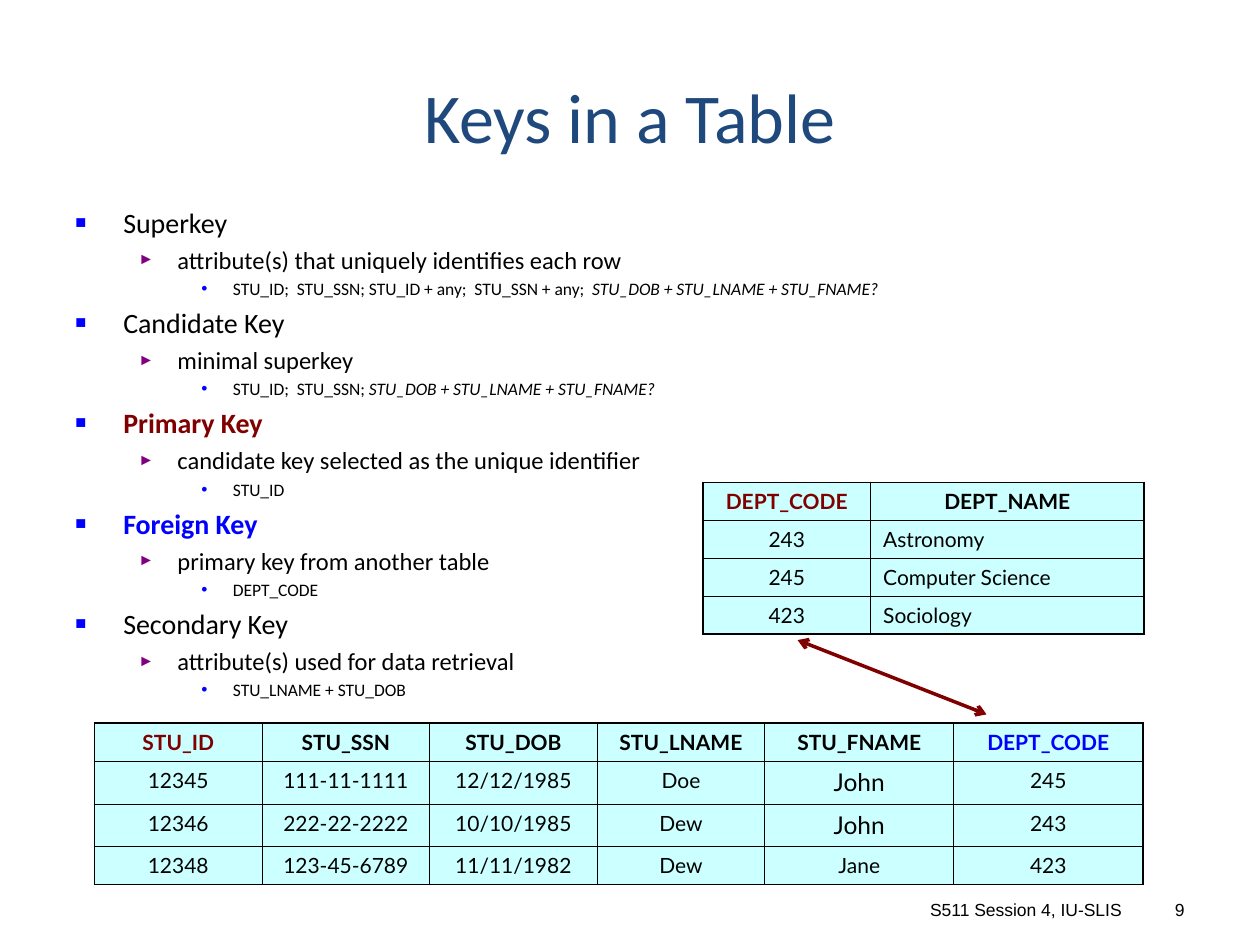
from lxml.etree import SubElement
from pptx import Presentation
from pptx.dml.color import RGBColor
from pptx.enum.shapes import MSO_CONNECTOR
from pptx.enum.text import MSO_ANCHOR, PP_ALIGN
from pptx.oxml.ns import qn
from pptx.util import Inches, Pt

BLACK, NAVY, BLUE, MAROON, PURPLE, CYAN = (
    "000000", "1F497D", "0000FF", "800000", "800080", "CCFFFF")
NAMES_AND_BIRTH = "STU_DOB + STU_LNAME + STU_FNAME?"
KEYS = [
    ("Superkey", BLACK, "attribute(s) that uniquely identifies each row",
     "STU_ID;  STU_SSN; STU_ID + any;  STU_SSN + any;  ", NAMES_AND_BIRTH),
    ("Candidate Key", BLACK, "minimal superkey", "STU_ID;  STU_SSN; ", NAMES_AND_BIRTH),
    ("Primary Key", MAROON, "candidate key selected as the unique identifier", "STU_ID", ""),
    ("Foreign Key", BLUE, "primary key from another table", "DEPT_CODE", ""),
    ("Secondary Key", BLACK, "attribute(s) used for data retrieval", "STU_LNAME + STU_DOB", ""),
]
LEVELS = [
    {"size": 16, "indent": 0.38, "hang": 0.38, "before": 3.7, "bullet": "■", "color": BLUE, "scale": 65},
    {"size": 14, "indent": 0.81, "hang": 0.31, "before": 3.3, "bullet": "►", "color": PURPLE, "scale": 65},
    {"size": 10, "indent": 1.25, "hang": 0.25, "before": 2.3, "bullet": "•", "color": BLUE, "scale": 100},
]
STUDENTS = {
    "place": (0.75, 5.74), "columns": [1.33, 1.33, 1.33, 1.33, 1.5, 1.5],
    "heights": [0.3, 0.34, 0.34, 0.3], "left_columns": [],
    "header_colors": {0: MAROON, 5: BLUE}, "large": "John",
    "rows": [
        ("STU_ID", "STU_SSN", "STU_DOB", "STU_LNAME", "STU_FNAME", "DEPT_CODE"),
        ("12345", "111-11-1111", "12/12/1985", "Doe", "John", "245"),
        ("12346", "222-22-2222", "10/10/1985", "Dew", "John", "243"),
        ("12348", "123-45-6789", "11/11/1982", "Dew", "Jane", "423"),
    ],
}
DEPARTMENTS = {
    "place": (5.58, 3.83), "columns": [1.33, 2.17],
    "heights": [0.3] * 4, "left_columns": [1],
    "header_colors": {0: MAROON}, "large": None,
    "rows": [
        ("DEPT_CODE", "DEPT_NAME"),
        ("243", "Astronomy"),
        ("245", "Computer Science"),
        ("423", "Sociology"),
    ],
}


def rgb(color):
    return RGBColor.from_string(color)


def add_span(para, text, size, font="Calibri", color=BLACK, bold=False, italic=False):
    span = para.add_run()
    span.text = text
    span.font.size = Pt(size)
    span.font.name = font
    span.font.color.rgb = rgb(color)
    span.font.bold = bold
    span.font.italic = italic


def add_box(page, left, top, width, height, anchor):
    box = page.shapes.add_textbox(Inches(left), Inches(top), Inches(width), Inches(height))
    box.text_frame.word_wrap = True
    box.text_frame.vertical_anchor = anchor
    return box.text_frame


def add_label(page, place, text, size, font, color, align, anchor):
    para = add_box(page, *place, anchor).paragraphs[0]
    para.alignment = align
    add_span(para, text, size, font, color)


def style_level(para, number, first):
    level = LEVELS[number]
    para.level = number
    if not first:
        para.space_before = Pt(level["before"])
    properties = para._p.get_or_add_pPr()
    properties.set("marL", str(Inches(level["indent"])))
    properties.set("indent", str(-Inches(level["hang"])))
    bullet_color = SubElement(properties, qn("a:buClr"))
    SubElement(bullet_color, qn("a:srgbClr"), val=level["color"])
    SubElement(properties, qn("a:buSzPct"), val=str(level["scale"] * 1000))
    SubElement(properties, qn("a:buFont"), typeface="Arial")
    SubElement(properties, qn("a:buChar"), char=level["bullet"])


def add_keys(page):
    frame = add_box(page, 0.5, 1.58, 8.58, 5.42, MSO_ANCHOR.TOP)
    for index, (name, color, meaning, example, doubtful) in enumerate(KEYS):
        lines = [[(name, color, False)], [(meaning, BLACK, False)],
                 [(example, BLACK, False), (doubtful, BLACK, True)]]
        for number, spans in enumerate(lines):
            first = index == number == 0
            para = frame.paragraphs[0] if first else frame.add_paragraph()
            style_level(para, number, first)
            for text, shade, italic in spans:
                if text:
                    add_span(para, text, LEVELS[number]["size"], color=shade,
                             bold=shade != BLACK, italic=italic)


def set_borders(cell, outer_edges):
    properties = cell._tc.get_or_add_tcPr()
    for edge, outer in zip("LRTB", outer_edges):
        line = SubElement(properties, qn(f"a:ln{edge}"), w=str(Pt(1.08 if outer else 0.45)))
        fill = SubElement(line, qn("a:solidFill"))
        SubElement(fill, qn("a:srgbClr"), val=BLACK)


def add_data_table(page, data):
    rows, widths, heights = data["rows"], data["columns"], data["heights"]
    left, top = data["place"]
    table = page.shapes.add_table(
        len(rows), len(widths), Inches(left), Inches(top),
        Inches(sum(widths)), Inches(sum(heights))).table
    table.first_row = table.horz_banding = False
    for column, width in zip(table.columns, widths):
        column.width = Inches(width)
    for r, (values, height) in enumerate(zip(rows, heights)):
        table.rows[r].height = Inches(height)
        for c, value in enumerate(values):
            cell = table.cell(r, c)
            set_borders(cell, (c == 0, c == len(widths) - 1, r == 0, r == len(rows) - 1))
            cell.fill.solid()
            cell.fill.fore_color.rgb = rgb(CYAN)
            header = r == 0
            para = cell.text_frame.paragraphs[0]
            to_left = c in data["left_columns"] and not header
            para.alignment = PP_ALIGN.LEFT if to_left else PP_ALIGN.CENTER
            color = data["header_colors"].get(c, BLACK) if header else BLACK
            add_span(para, value, 14 if value == data["large"] else 12, "Lato", color, header)


def add_key_link(page):
    link = page.shapes.add_connector(
        MSO_CONNECTOR.STRAIGHT, Inches(6.33), Inches(5.08), Inches(7.83), Inches(5.67))
    link.line.color.rgb = rgb(MAROON)
    link.line.width = Pt(2)
    line = link.line._get_or_add_ln()
    for end in ("headEnd", "tailEnd"):
        SubElement(line, qn(f"a:{end}"), type="arrow")
    SubElement(link._element.spPr, qn("a:effectLst"))


def main():
    deck = Presentation()
    deck.slide_width, deck.slide_height = Inches(10), Inches(7.5)
    page = deck.slides.add_slide(deck.slide_layouts[6])
    for left, width, text in [(6.83, 2.17, "S511 Session 4, IU-SLIS"), (9.08, 0.42, "9")]:
        add_label(page, (left, 7.08, width, 0.27), text, 10, "Arial", BLACK,
                  PP_ALIGN.RIGHT, MSO_ANCHOR.BOTTOM)
    add_label(page, (0.5, 0.42, 9, 1), "Keys in a Table", 40, "Calibri", NAVY,
              PP_ALIGN.CENTER, MSO_ANCHOR.MIDDLE)
    add_keys(page)
    for data in (STUDENTS, DEPARTMENTS):
        add_data_table(page, data)
    add_key_link(page)
    deck.save("out.pptx")


if __name__ == "__main__":
    main()
